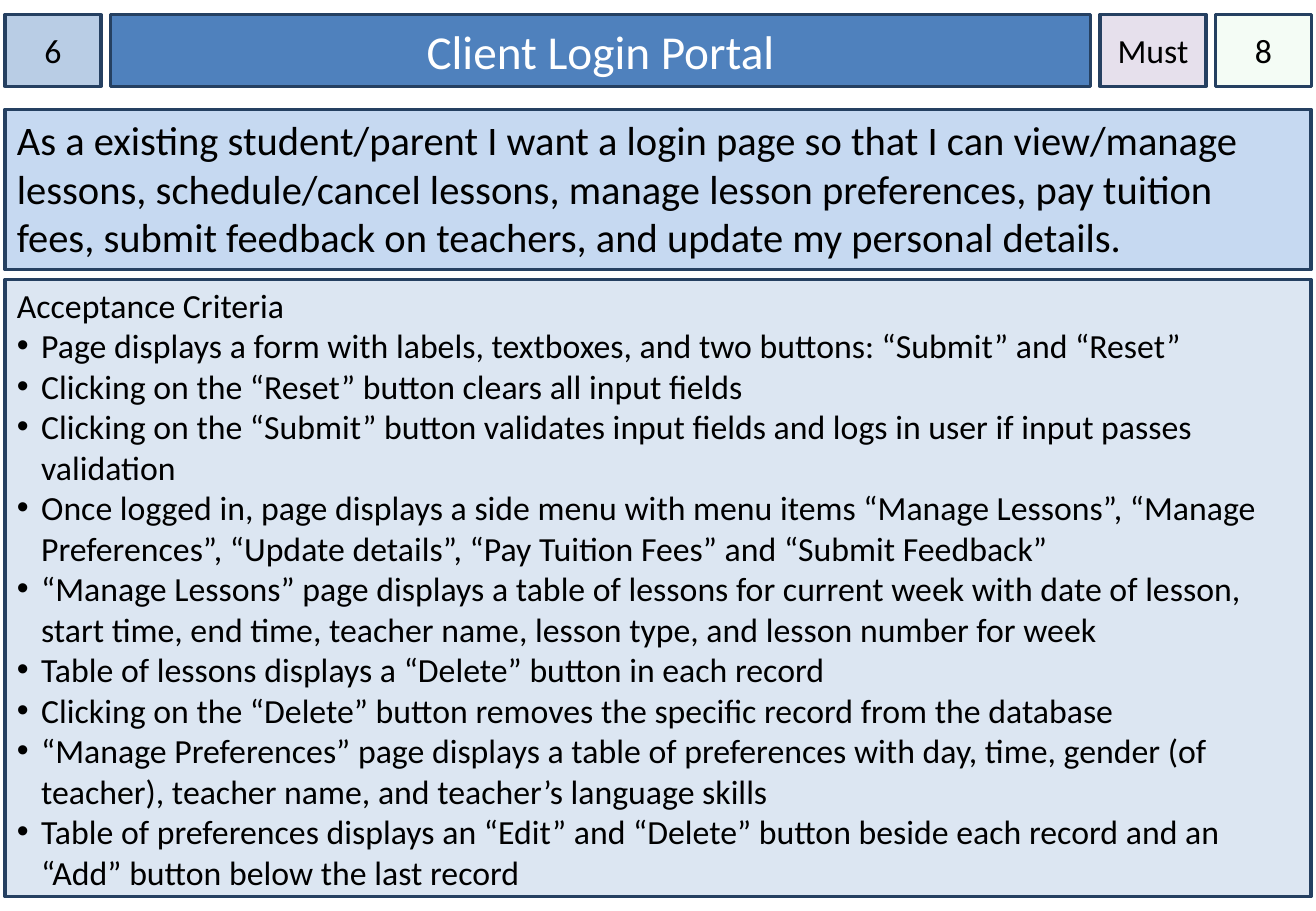
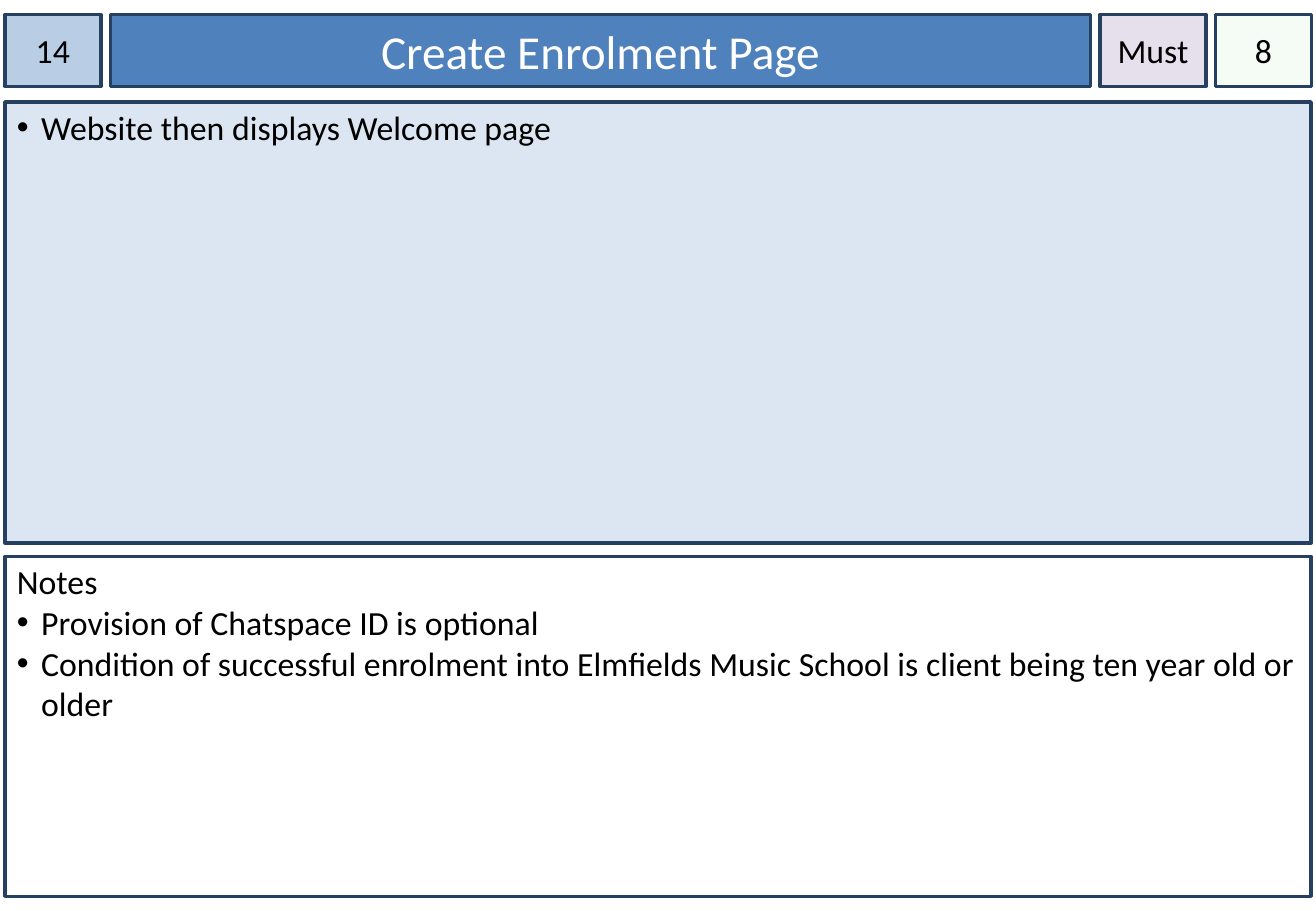
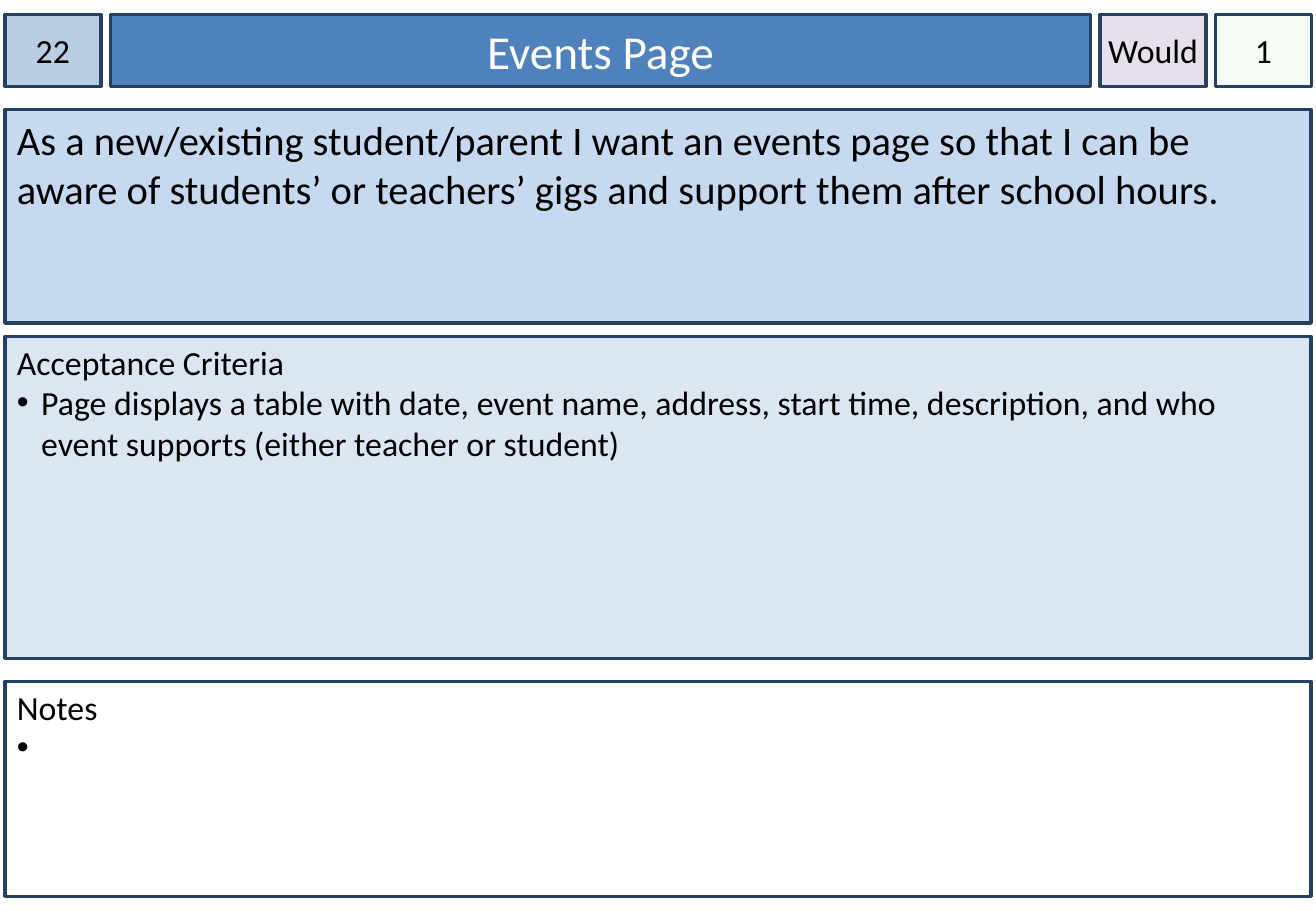
from pptx import Presentation
from pptx.dml.color import RGBColor
from pptx.enum.shapes import MSO_SHAPE as Shape
from pptx.enum.text import MSO_ANCHOR as Anchor, PP_ALIGN as Align
from pptx.oxml.ns import qn
from pptx.util import Inches, Pt
from lxml.etree import SubElement

NAVY = RGBColor(0x25, 0x40, 0x61)
BLUE = RGBColor(0x4F, 0x81, 0xBD)
STEEL = RGBColor(0xB9, 0xCD, 0xE5)
SKY = RGBColor(0xC6, 0xD9, 0xF1)
PALE = RGBColor(0xDC, 0xE6, 0xF2)
LILAC = RGBColor(0xE6, 0xE0, 0xEC)
MINT = RGBColor(0xCC, 0xF0, 0xCD)
WHITE = RGBColor(0xFF, 0xFF, 0xFF)
BLACK = RGBColor(0, 0, 0)

MARGIN, GAP = 0.37, 0.71
HEAD_TOP, HEAD_HIGH = 1.6, 7.87
HEAD_WIDE = (7.3, 74.5, 8.05, 7.3)
INDENT = Inches(0.2)

PLAIN = {"margin_left": Inches(0.1), "margin_right": Inches(0.1),
         "margin_top": Inches(0.05), "margin_bottom": Inches(0.05),
         "vertical_anchor": Anchor.TOP, "word_wrap": True}
TITLE = {**PLAIN, "vertical_anchor": Anchor.MIDDLE}
BADGE = {**TITLE, "margin_left": 0, "margin_right": 0}
TAG = {**BADGE, "word_wrap": False}
LIST = {**PLAIN, "margin_top": Inches(0.04)}


class Deck:
    """Story cards drawn in percent of the slide's width and height."""

    def __init__(self):
        self.prs = Presentation()
        self.prs.slide_width = Inches(10.83)
        self.prs.slide_height = Inches(7.5)
        self.slide = None

    def box(self, left, top, wide, high, fill, frame):
        across = self.prs.slide_width / 100
        down = self.prs.slide_height / 100
        rect = self.slide.shapes.add_shape(
            Shape.RECTANGLE, round(left * across), round(top * down),
            round(wide * across), round(high * down))
        rect.shadow.inherit = False
        rect.fill.solid()
        rect.fill.fore_color.rgb = fill
        rect.line.color.rgb = NAVY
        rect.line.width = Pt(2)
        for name, value in frame.items():
            setattr(rect.text_frame, name, value)
        return rect

    def label(self, rect, text, size=20, color=BLACK, align=Align.LEFT,
              first=True, bullet=False):
        frame = rect.text_frame
        para = frame.paragraphs[0] if first else frame.add_paragraph()
        para.alignment = align
        run = para.add_run()
        run.text = text
        for name, value in {"name": "Calibri", "size": Pt(size)}.items():
            setattr(run.font, name, value)
        run.font.color.rgb = color
        if bullet:
            props = para._p.get_or_add_pPr()
            props.set("marL", str(INDENT))
            props.set("indent", str(-INDENT))
            SubElement(props, qn("a:buFont"), typeface="Arial")
            SubElement(props, qn("a:buChar"), char="•")

    def card(self, number, title, rank, points):
        self.slide = self.prs.slides.add_slide(self.prs.slide_layouts[6])
        cells = ((number, STEEL, BADGE, 20, BLACK), (title, BLUE, TITLE, 28, WHITE),
                 (rank, LILAC, TAG, 20, BLACK), (points, MINT, BADGE, 20, BLACK))
        left = MARGIN
        for wide, (text, fill, frame, size, color) in zip(HEAD_WIDE, cells):
            rect = self.box(left, HEAD_TOP, wide, HEAD_HIGH, fill, frame)
            self.label(rect, text, size, color, Align.CENTER)
            if fill == MINT:
                tint = rect.element.spPr.find(qn("a:solidFill"))[0]
                SubElement(tint, qn("a:alpha"), val="20000")
            left += wide + GAP

    def panel(self, top, end, fill, frame):
        return self.box(MARGIN, top, 100 - 2 * MARGIN, end - top, fill, frame)

    def story(self, end, text):
        self.label(self.panel(12, end, SKY, PLAIN), text, 24)

    def items(self, top, end, lines, head="", fill=PALE):
        rect = self.panel(top, end, fill, LIST)
        if head:
            self.label(rect, head)
        for index, line in enumerate(lines):
            self.label(rect, line, first=not head and index == 0, bullet=True)

    def notes(self, top, lines):
        self.items(top, 98.4, lines, "Notes", WHITE)


def main():
    deck = Deck()

    deck.card("6", "Client Login Portal", "Must", "8")
    deck.story(29.6, "As a existing student/parent I want a login page so that I can view/manage lessons, schedule/cancel lessons, manage lesson preferences, pay tuition fees, submit feedback on teachers, and update my personal details.")
    deck.items(30.67, 98.4, (
        "Page displays a form with labels, textboxes, and two buttons: “Submit” and “Reset”",
        "Clicking on the “Reset” button clears all input fields",
        "Clicking on the “Submit” button validates input fields and logs in user if input passes validation",
        "Once logged in, page displays a side menu with menu items “Manage Lessons”, “Manage Preferences”, “Update details”, “Pay Tuition Fees” and “Submit Feedback”",
        "“Manage Lessons” page displays a table of lessons for current week with date of lesson, start time, end time, teacher name, lesson type, and lesson number for week",
        "Table of lessons displays a “Delete” button in each record",
        "Clicking on the “Delete” button removes the specific record from the database",
        "“Manage Preferences” page displays a table of preferences with day, time, gender (of teacher), teacher name, and teacher’s language skills",
        "Table of preferences displays an “Edit” and “Delete” button beside each record and an “Add” button below the last record",
    ), "Acceptance Criteria")

    deck.card("14", "Create Enrolment Page", "Must", "8")
    deck.items(11.2, 59.6, ("Website then displays Welcome page",))
    deck.notes(61.07, (
        "Provision of Chatspace ID is optional",
        "Condition of successful enrolment into Elmfields Music School is client being ten year old or older",
    ))

    deck.card("22", "Events Page", "Would", "1")
    deck.story(35.47, "As a new/existing student/parent I want an events page so that I can be aware of students’ or teachers’ gigs and support them after school hours.")
    deck.items(36.93, 72.27, (
        "Page displays a table with date, event name, address, start time, description, and who event supports (either teacher or student)",
    ), "Acceptance Criteria")
    deck.notes(74.8, (" ",))

    deck.prs.save("out.pptx")


if __name__ == "__main__":
    main()
